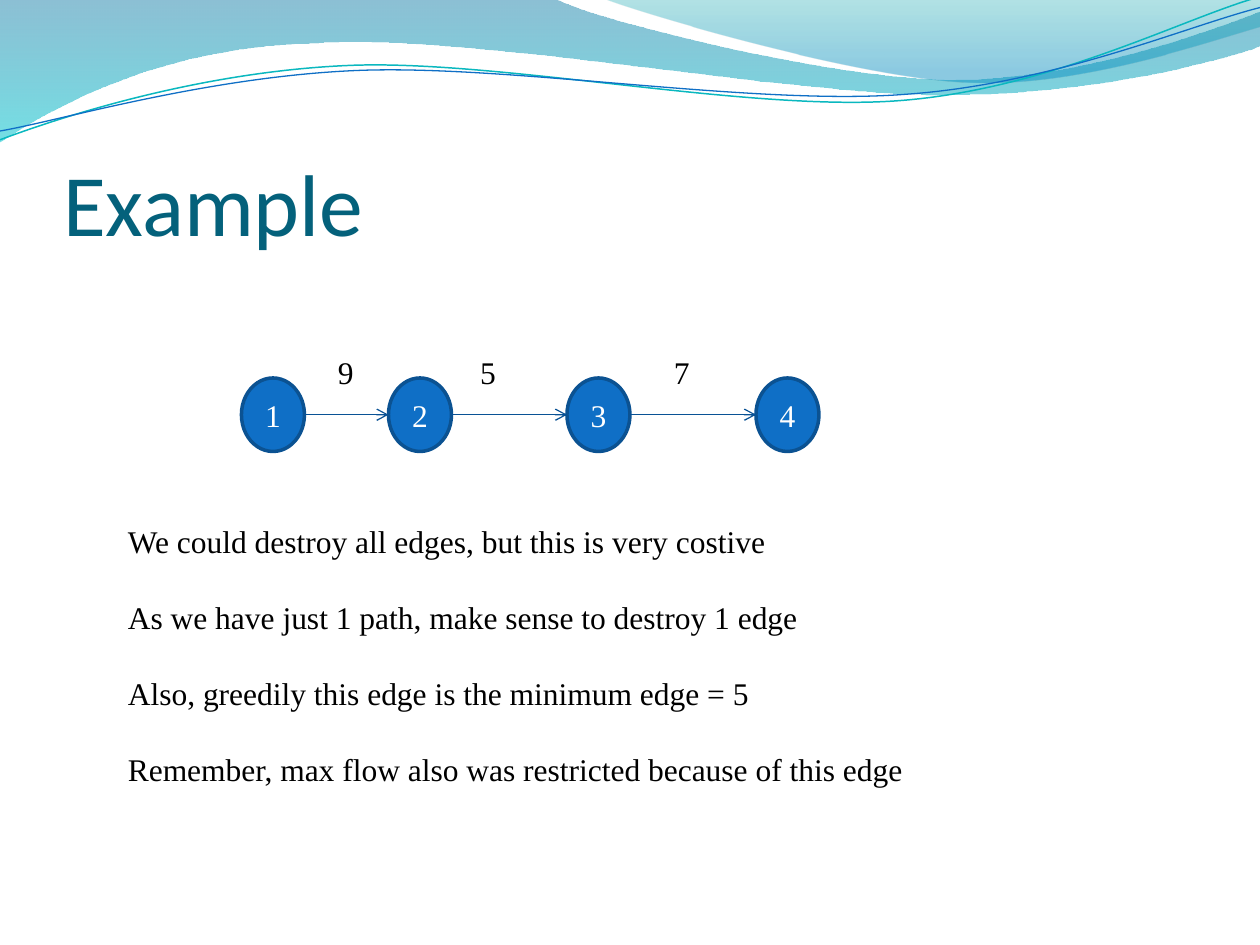
from lxml.etree import SubElement
from pptx import Presentation
from pptx.dml.color import RGBColor
from pptx.enum.shapes import MSO_CONNECTOR as CXN, MSO_SHAPE as SHAPE
from pptx.enum.text import MSO_ANCHOR as ANCHOR, MSO_AUTO_SIZE as AUTO, PP_ALIGN as ALIGN
from pptx.oxml.ns import qn
from pptx.util import Inches, Pt

COLORS = {
    "title": "04617B", "text": "000000", "node": "0F6FC6", "node_line": "0B5292",
    "node_text": "FFFFFF", "edge": "095295", "teal": "0AB8BF", "blue": "0F6FC6",
    "left_top": "0074A1", "left_low": "00C6CF", "right_top": "00A1A9", "right_low": "008BBF",
}
SERIF, SANS = "Times New Roman", "Calibri"
COLS, ROWS = 120, 90
CELL = Inches(10) // COLS

LEFT_WAVE = [
    (0, 0), (4.4, -0.01),
    (4.76, 0.17, 6.64, 0.63, 7.58, 0.63), (8.53, 0.63, 9.58, 0.26, 10, 0.09),
    (10.01, 0.36),
    (9.83, 0.44, 8.7, 0.76, 7.46, 0.75), (6.22, 0.75, 3.82, 0.28, 2.57, 0.34),
    (1.29, 0.36, 0.46, 0.83, -0.01, 1.13), (0, 0),
]
RIGHT_WAVE = [
    (4.79, -0.01),
    (5.09, 0.11, 6.82, 0.62, 7.69, 0.65), (8.56, 0.69, 9.61, 0.32, 10, 0.21),
    (10, 0), (4.79, -0.01),
]
TEAL_LINE = [
    (0, 1.11),
    (0.48, 0.93, 1.58, 0.57, 2.77, 0.52), (3.95, 0.47, 5.93, 0.89, 7.13, 0.8),
    (8.33, 0.71, 9.38, 0.15, 9.98, -0.02),
]
BLUE_LINE = [
    (0, 1.04),
    (0.47, 0.96, 1.64, 0.61, 2.83, 0.56), (4.03, 0.51, 5.97, 0.84, 7.17, 0.75),
    (8.36, 0.67, 9.41, 0.21, 10, 0.06),
]
NODES = [("1", 0), ("2", 14), ("3", 31), ("4", 49)]
WEIGHTS = [("9", 8), ("5", 21.55), ("7", 40)]
NOTES = [
    "We could destroy all edges, but this is very costive",
    "As we have just 1 path, make sense to destroy 1 edge",
    "Also, greedily this edge is the minimum edge = 5",
    "Remember, max flow also was restricted because of this edge",
]


def rgb(name):
    """Return the named colour."""
    return RGBColor.from_string(COLORS[name])


def grid(*cells):
    """Turn grid cells into lengths."""
    return [round(c * CELL) for c in cells]


def add_run(p, text, size, color, font=SERIF):
    """Add one formatted run to a paragraph."""
    r = p.add_run()
    r.text = text
    r.font.size, r.font.name = Pt(size), font
    r.font.color.rgb = rgb(color)


def add_curve(s, box, segments, close):
    """Draw lines and cubic curves given in tenths of the box width."""
    x, y, width, _ = box
    unit = width / 10
    points = [
        (round(x + seg[i] * unit), round(y + seg[i + 1] * unit))
        for seg in segments for i in range(0, len(seg), 2)
    ]
    builder = s.shapes.build_freeform(*points[0])
    builder.add_line_segments(points[1:], close=close)
    sp = builder.convert_to_shape()
    sp.shadow.inherit = False
    lines = iter(list(sp._element.spPr.iter(qn("a:lnTo"))))
    for seg in segments[1:]:
        first = next(lines)
        if len(seg) == 6:
            first.tag = qn("a:cubicBezTo")
            for extra in (next(lines), next(lines)):
                first.append(extra[0])
                extra.getparent().remove(extra)
    return sp


def add_waves(s, box):
    """Draw the gradient waves and the two thin lines at the top of the box."""
    fills = [
        (LEFT_WAVE, [(0, "left_top", 45), (1, "left_low", 55)]),
        (RIGHT_WAVE, [(0, "right_top", 30), (0.8, "right_low", 45)]),
    ]
    for segments, stops in fills:
        sp = add_curve(s, box, segments, True)
        sp.line.fill.background()
        sp.fill.gradient()
        sp.fill.gradient_angle = 270
        for stop, (position, color, _) in zip(sp.fill.gradient_stops, stops):
            stop.position, stop.color.rgb = position, rgb(color)
        for clr, (_, _, opacity) in zip(sp._element.spPr.iter(qn("a:srgbClr")), stops):
            SubElement(clr, qn("a:alpha"), val=str(opacity * 1000))
    for segments, color, width in [(TEAL_LINE, "teal", 0.85), (BLUE_LINE, "blue", 0.75)]:
        sp = add_curve(s, box, segments, False)
        sp.fill.background()
        sp.line.color.rgb, sp.line.width = rgb(color), Pt(width)


def add_title(s, box, text):
    """Move and format the title placeholder."""
    sp = s.shapes.title
    sp.left, sp.top, sp.width, sp.height = box
    tf = sp.text_frame
    tf.auto_size, tf.vertical_anchor = AUTO.NONE, ANCHOR.BOTTOM
    tf.margin_left = tf.margin_right = tf.margin_bottom = 0
    p = tf.paragraphs[0]
    p.alignment = ALIGN.LEFT
    add_run(p, text, 50, "title", SANS)


def add_node(s, box, text):
    """Draw one graph node."""
    sp = s.shapes.add_shape(SHAPE.OVAL, *box)
    sp.shadow.inherit = False
    sp.fill.solid()
    sp.fill.fore_color.rgb = rgb("node")
    sp.line.color.rgb, sp.line.width = rgb("node_line"), Pt(2)
    tf = sp.text_frame
    tf.vertical_anchor = ANCHOR.MIDDLE
    p = tf.paragraphs[0]
    p.alignment = ALIGN.CENTER
    add_run(p, text, 18, "node_text")
    return sp


def add_edge(s, start, end):
    """Draw an arrow from one node to the next."""
    y = start.top + start.height // 2
    cxn = s.shapes.add_connector(CXN.STRAIGHT, start.left + start.width, y, end.left, y)
    cxn.line.color.rgb, cxn.line.width = rgb("edge"), Pt(0.75)
    SubElement(cxn.line._get_or_add_ln(), qn("a:tailEnd"), type="arrow")
    SubElement(cxn._element.spPr, qn("a:effectLst"))


def add_text(s, box, lines, wrap):
    """Add a text box with one paragraph per line."""
    tf = s.shapes.add_textbox(*box).text_frame
    tf.word_wrap, tf.auto_size = wrap, AUTO.SHAPE_TO_FIT_TEXT
    for i, line in enumerate(lines):
        p = tf.add_paragraph() if i else tf.paragraphs[0]
        if i:
            p.space_before = Pt(21.75)
        add_run(p, line, 18, "text")


def add_graph(s, box):
    """Draw the weighted path of nodes inside the box."""
    x, y, _, height = box
    node_w, node_h, label_w, label_h = grid(6, 7, 4, 4.8)
    nodes = [
        add_node(s, (x + grid(col)[0], y + height - node_h, node_w, node_h), text)
        for text, col in NODES
    ]
    for start, end in zip(nodes, nodes[1:]):
        add_edge(s, start, end)
    for text, col in WEIGHTS:
        add_text(s, (x + grid(col)[0], y, label_w, label_h), [text], False)


def main():
    """Build and save the slide."""
    prs = Presentation()
    prs.slide_width, prs.slide_height = grid(COLS, ROWS)
    s = prs.slides.add_slide(prs.slide_layouts[5])
    add_waves(s, grid(0, 0, COLS, ROWS))
    add_title(s, grid(6, 9.2, 108, 15), "Example")
    add_graph(s, grid(23, 33, 55, 10))
    add_text(s, grid(11, 49.13, 84, 26.6), NOTES, True)
    prs.save("out.pptx")


if __name__ == "__main__":
    main()
